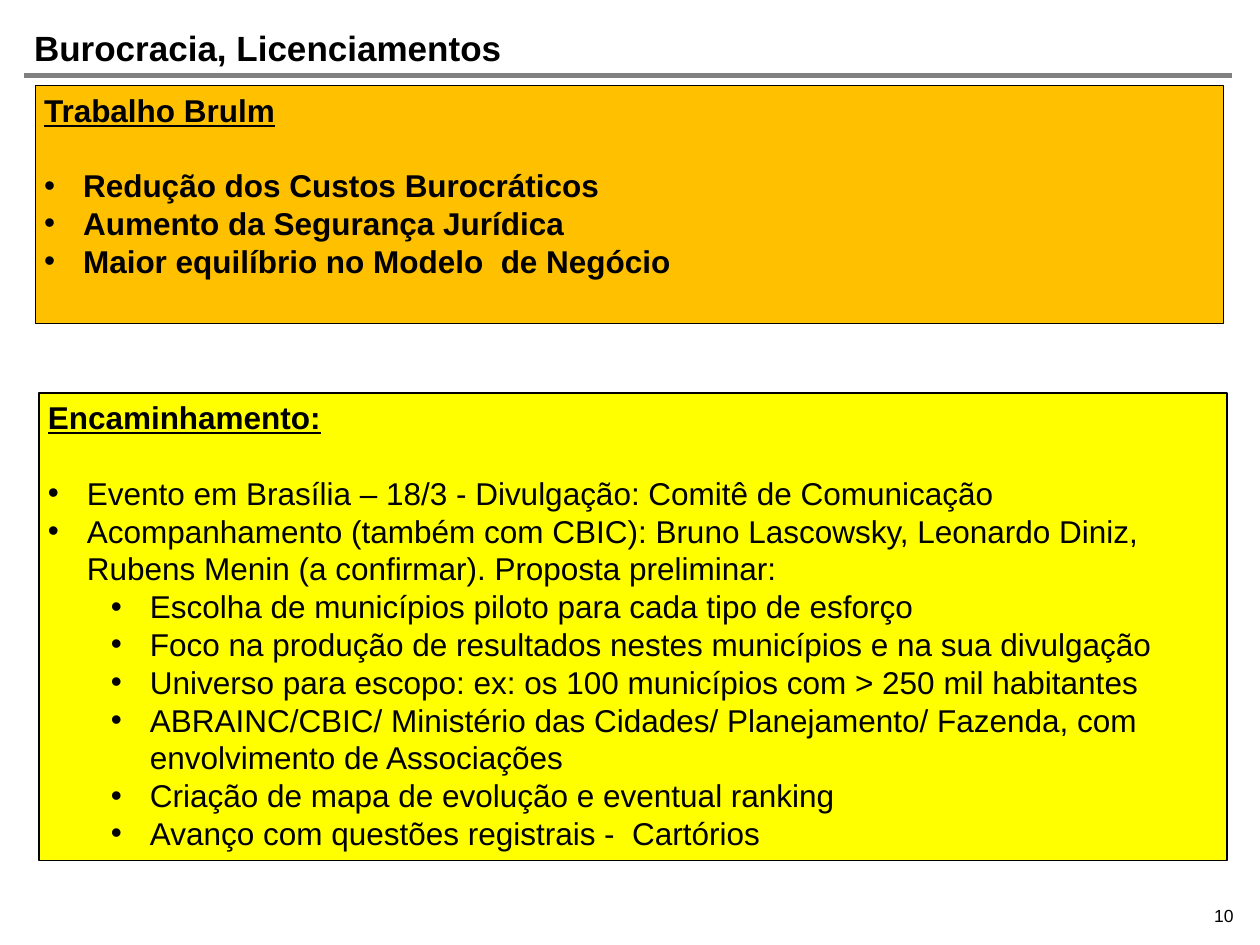
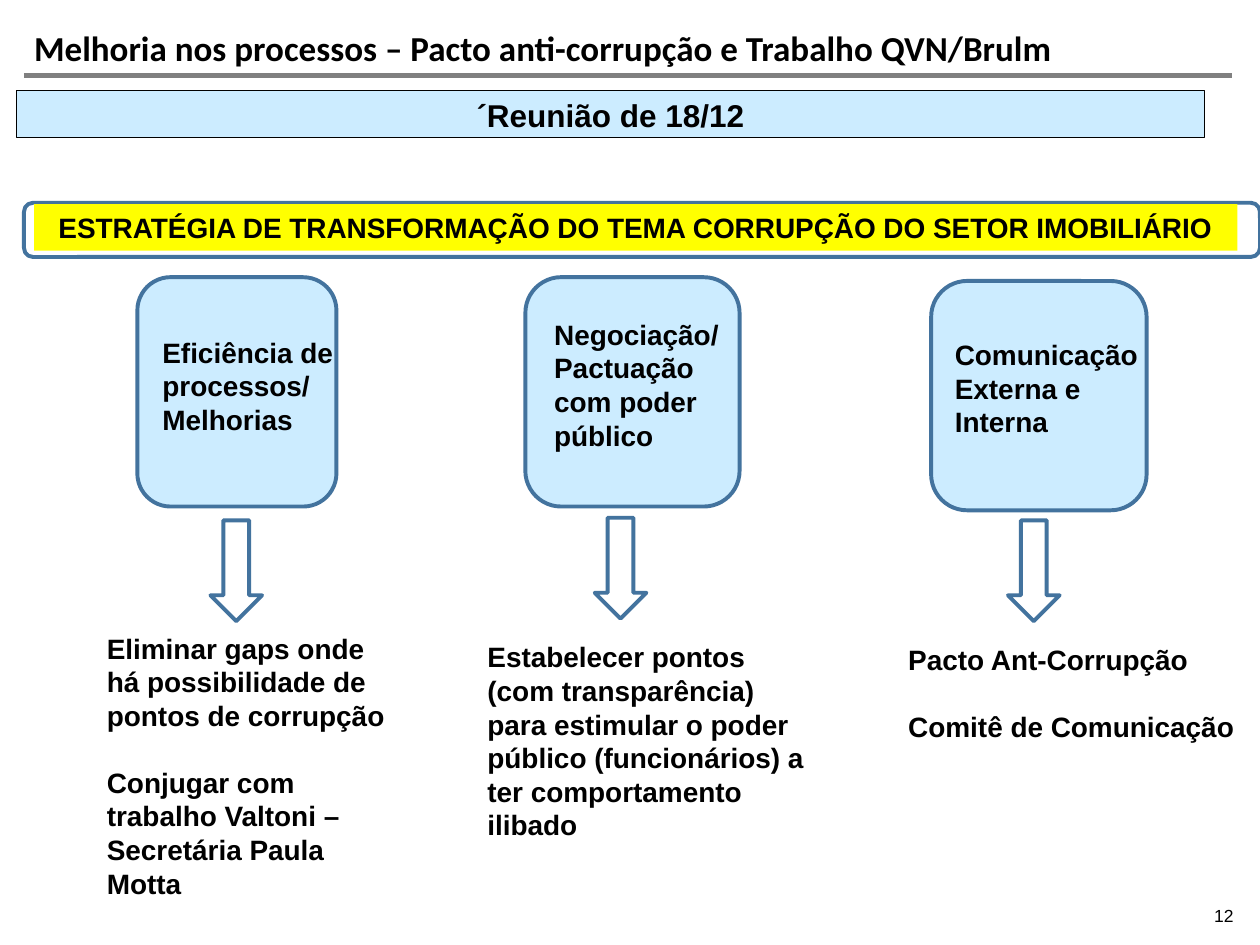
from dataclasses import dataclass

from lxml.etree import SubElement
from pptx import Presentation
from pptx.dml.color import RGBColor
from pptx.enum.shapes import MSO_CONNECTOR, MSO_SHAPE as SHAPE
from pptx.enum.text import MSO_ANCHOR as ANCHOR, MSO_AUTO_SIZE, PP_ALIGN as ALIGN
from pptx.oxml.ns import qn
from pptx.util import Inches, Pt


@dataclass(frozen=True)
class Theme:
    font: str = "Arial"
    black: str = "000000"
    white: str = "FFFFFF"
    grey: str = "808080"
    orange: str = "FFC000"
    yellow: str = "FFFF00"
    light_blue: str = "CCECFF"
    outline: str = "43739E"
    title_size: int = 20
    panel_size: int = 18
    body_size: int = 16
    number_size: int = 10
    thin: float = 0.75
    thick: float = 2.25
    rule: float = 3.2
    line_height: float = 1.2


T = Theme()
PANEL_INSETS = (0.07, 0.04)
TEXT_INSETS = (0.1, 0.05)
BULLET_HANG = 0.31
LEVEL_STEP = 0.5


@dataclass(frozen=True)
class Pillar:
    """One column: box, its label, the arrow below and the actions under it."""
    box: tuple
    label_at: tuple
    label: str
    arrow_at: tuple
    actions_at: tuple
    actions: tuple


PILLARS = (
    Pillar((1.09, 2.2, 1.58, 1.82), (1.19, 2.61, 1.62, 0.91),
           "Eficiência de processos/ Melhorias",
           (1.67, 4.13), (0.75, 4.96, 2.56, 2.26),
           ("Eliminar gaps onde há possibilidade de pontos de corrupção",
            "Conjugar com trabalho Valtoni – Secretária Paula Motta")),
    Pillar((4.17, 2.2, 1.7, 1.82), (4.3, 2.47, 1.57, 1.18),
           "Negociação/ Pactuação com poder público",
           (4.72, 4.11), (3.77, 5.03, 2.79, 1.72),
           ("Estabelecer pontos (com transparência) para estimular o poder "
            "público (funcionários) a ter comportamento ilibado",)),
    Pillar((7.39, 2.23, 1.71, 1.82), (7.48, 2.63, 1.67, 0.91),
           "Comunicação Externa e Interna",
           (8, 4.13), (7.11, 5.05, 2.79, 0.91),
           ("Pacto Ant-Corrupção", "Comitê de Comunicação")),
)


def rgb(value):
    return RGBColor.from_string(value)


def inches(values):
    return [Inches(v) for v in values]


def format_runs(p, size, bold=False, underline=False, font=T.font):
    for r in p.runs:
        r.font.name = font
        r.font.size = Pt(size)
        r.font.bold = bold
        r.font.underline = underline
        r.font.color.rgb = rgb(T.black)


def prepare_frame(tf, insets=TEXT_INSETS, anchor=ANCHOR.TOP):
    tf.word_wrap = True
    tf.auto_size = MSO_AUTO_SIZE.NONE
    tf.vertical_anchor = anchor
    tf.margin_left = tf.margin_right = Inches(insets[0])
    tf.margin_top = tf.margin_bottom = Inches(insets[1])


def write_paragraphs(tf, texts, size, bold=True, align=ALIGN.LEFT):
    """Write the paragraphs with one line of space between them."""
    tf.text = "\n".join(texts)
    for i, p in enumerate(tf.paragraphs):
        p.alignment = align
        if i:
            p.space_before = Pt(size * T.line_height)
        format_runs(p, size, bold)


def add_bullet(p, level):
    p.level = level
    pPr = p._p.get_or_add_pPr()
    pPr.set("marL", str(Inches(BULLET_HANG + LEVEL_STEP * level)))
    pPr.set("indent", str(-Inches(BULLET_HANG)))
    SubElement(pPr, qn("a:buFont"), typeface=T.font)
    SubElement(pPr, qn("a:buChar"), char="•")


def add_box(s, kind, at, fill, line=None, width=T.thick):
    sp = s.shapes.add_shape(kind, *inches(at))
    sp.shadow.inherit = False
    sp.fill.solid()
    sp.fill.fore_color.rgb = rgb(fill)
    if line:
        sp.line.color.rgb = rgb(line)
        sp.line.width = Pt(width)
    else:
        sp.line.fill.background()
    return sp


def add_text(s, at, texts, size=T.body_size):
    tf = s.shapes.add_textbox(*inches(at)).text_frame
    prepare_frame(tf)
    write_paragraphs(tf, texts, size)


def add_banner(s, at, text, size, fill, line=None, insets=TEXT_INSETS):
    sp = add_box(s, SHAPE.RECTANGLE, at, fill, line, T.thin)
    prepare_frame(sp.text_frame, insets)
    write_paragraphs(sp.text_frame, [text], size, align=ALIGN.CENTER)


def add_panel(s, at, fill, heading, bullets, bold=False):
    """Add a filled panel; bullets are (level, text) pairs."""
    tf = add_box(s, SHAPE.RECTANGLE, at, fill, T.black, T.thin).text_frame
    prepare_frame(tf, PANEL_INSETS)
    write_paragraphs(tf, [heading], T.panel_size)
    format_runs(tf.paragraphs[0], T.panel_size, bold=True, underline=True)
    for i, (level, text) in enumerate(bullets):
        p = tf.add_paragraph()
        p.text = text
        p.alignment = ALIGN.LEFT
        add_bullet(p, level)
        if i == 0:
            p.space_before = Pt(T.panel_size * T.line_height)
        format_runs(p, T.panel_size, bold)


def add_rule(s):
    line = s.shapes.add_connector(
        MSO_CONNECTOR.STRAIGHT, *inches((0.19, 0.6, 9.78, 0.6)))
    line.line.color.rgb = rgb(T.grey)
    line.line.width = Pt(T.rule)
    SubElement(line._element.spPr, qn("a:effectLst"))


def add_page_number(s, number):
    tf = s.shapes.add_textbox(*inches((7.45, 7.18, 2.34, 0.17))).text_frame
    prepare_frame(tf, (0, 0), ANCHOR.BOTTOM)
    write_paragraphs(tf, [str(number)], T.number_size, False, ALIGN.RIGHT)


def add_slide(prs, title, number, title_font=T.font):
    s = prs.slides.add_slide(prs.slide_layouts[5])
    add_rule(s)
    sp = s.shapes.title
    sp.left, sp.top, sp.width, sp.height = inches((0.27, 0.25, 9.51, 0.35))
    prepare_frame(sp.text_frame, (0, 0))
    sp.text_frame.text = title
    p = sp.text_frame.paragraphs[0]
    p.alignment = ALIGN.LEFT
    p.line_spacing = 0.9
    format_runs(p, T.title_size, bold=True, font=title_font)
    add_page_number(s, number)
    return s


def add_pillar(s, pillar):
    add_box(s, SHAPE.ROUNDED_RECTANGLE, pillar.box, T.light_blue, T.outline)
    add_text(s, pillar.label_at, [pillar.label])
    add_box(s, SHAPE.DOWN_ARROW, (*pillar.arrow_at, 0.41, 0.8),
            T.white, T.outline)
    add_text(s, pillar.actions_at, pillar.actions)


def build_bureaucracy(prs):
    s = add_slide(prs, "Burocracia, Licenciamentos", 10)
    add_panel(s, (0.28, 0.68, 9.43, 1.89), T.orange, "Trabalho Brulm", (
        (0, "Redução dos Custos Burocráticos"),
        (0, "Aumento da Segurança Jurídica"),
        (0, "Maior equilíbrio no Modelo  de Negócio"),
    ), bold=True)
    add_panel(s, (0.31, 3.12, 9.43, 3.71), T.yellow, "Encaminhamento:", (
        (0, "Evento em Brasília – 18/3 - Divulgação: Comitê de Comunicação"),
        (0, "Acompanhamento (também com CBIC): Bruno Lascowsky, Leonardo "
            "Diniz, Rubens Menin (a confirmar). Proposta preliminar:"),
        (1, "Escolha de municípios piloto para cada tipo de esforço"),
        (1, "Foco na produção de resultados nestes municípios e na sua "
            "divulgação"),
        (1, "Universo para escopo: ex: os 100 municípios com > 250 mil "
            "habitantes"),
        (1, "ABRAINC/CBIC/ Ministério das Cidades/ Planejamento/ Fazenda, "
            "com envolvimento de Associações"),
        (1, "Criação de mapa de evolução e eventual ranking"),
        (1, "Avanço com questões registrais -  Cartórios"),
    ))


def build_processes(prs):
    s = add_slide(
        prs, "Melhoria nos processos – Pacto anti-corrupção e Trabalho QVN/Brulm",
        12, title_font="Calibri")
    add_box(s, SHAPE.ROUNDED_RECTANGLE, (0.19, 1.61, 9.81, 0.43),
            T.white, T.outline)
    add_banner(s, (0.27, 1.62, 9.55, 0.37),
               "ESTRATÉGIA DE TRANSFORMAÇÃO DO TEMA CORRUPÇÃO DO SETOR "
               "IMOBILIÁRIO", T.body_size, T.yellow)
    for pillar in PILLARS:
        add_pillar(s, pillar)
    add_banner(s, (0.13, 0.72, 9.43, 0.37), "´Reunião de 18/12",
               T.panel_size, T.light_blue, T.black, PANEL_INSETS)


def main():
    prs = Presentation()
    prs.slide_width, prs.slide_height = Inches(10), Inches(7.5)
    build_bureaucracy(prs)
    build_processes(prs)
    prs.save("out.pptx")


if __name__ == "__main__":
    main()
